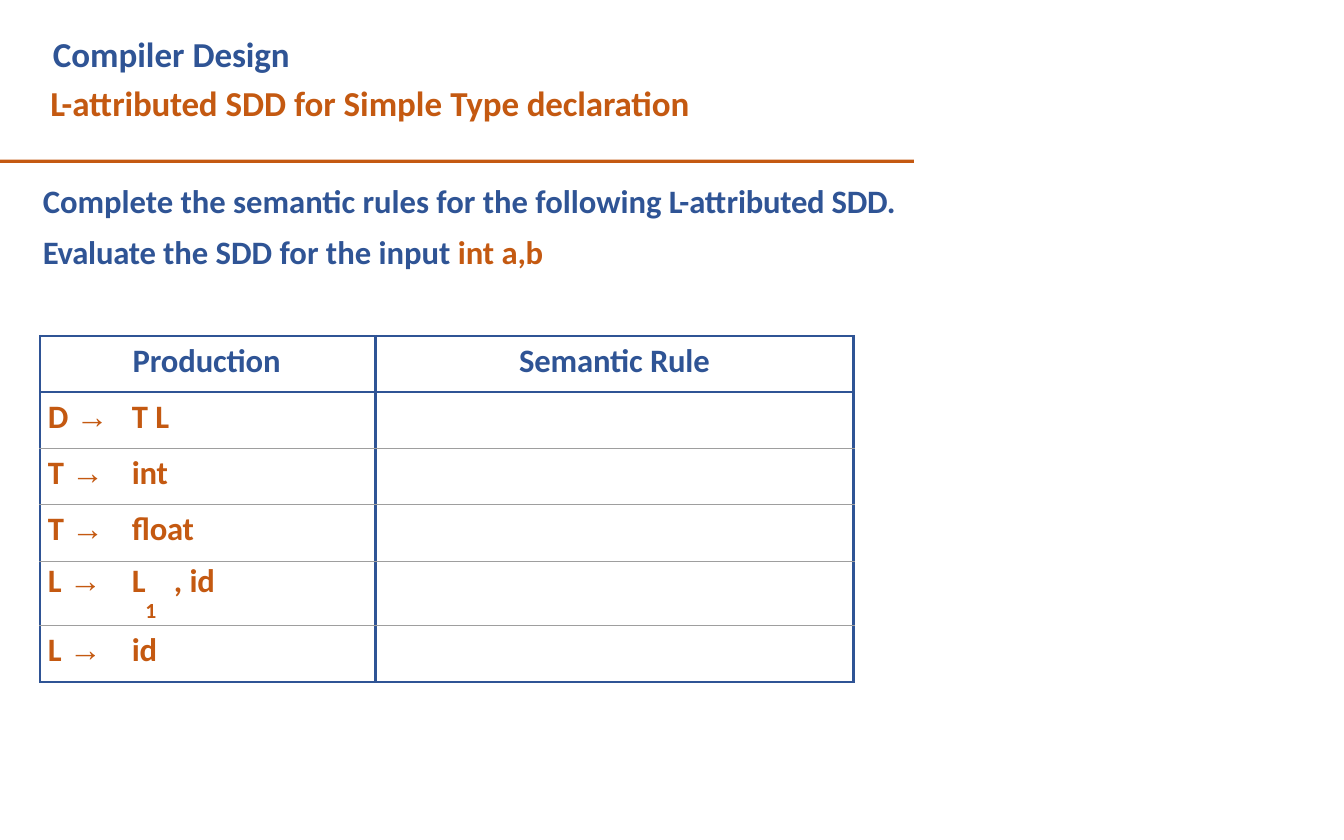
from lxml.etree import SubElement as Sub
from pptx import Presentation
from pptx.dml.color import RGBColor as RGB
from pptx.enum.shapes import MSO_SHAPE as Shape
from pptx.enum.text import PP_ALIGN as Align
from pptx.oxml.ns import qn
from pptx.util import Inches, Pt

COLORS = {"blue": "2F5495", "rust": "C45911", "gray": "9E9E9E"}


def paint(name):
    """Return the named colour."""
    return RGB.from_string(COLORS[name])


def write(para, parts, size=28, color="blue", left=0, tabs=()):
    """Add bold runs of (text, spacing, color, font) to an indented paragraph."""
    props = para._p.get_or_add_pPr()
    props.set("marL", str(Inches(left)))
    props.set("indent", "0")
    if tabs:
        stops = Sub(props, qn("a:tabLst"))
        for stop in tabs:
            Sub(stops, qn("a:tab"), pos=str(Inches(stop)), algn="l")
    for text, gap, *rest in parts:
        run = para.add_run()
        run.text = text
        font = run.font
        font.size, font.bold = Pt(size), True
        font.color.rgb = paint(rest[0] if rest else color)
        font.name = rest[1] if len(rest) > 1 else "Calibri"
        run._r.get_or_add_rPr().set("spc", str(round(gap * 100)))


def add_box(slide, box, top):
    """Add a wrapping text box with only a top inset and return its frame."""
    frame = slide.shapes.add_textbox(*map(Inches, box)).text_frame
    frame.word_wrap = True
    frame.margin_left = frame.margin_right = frame.margin_bottom = 0
    frame.margin_top = Inches(top)
    return frame


def add_head(slide, box):
    """Place the course name and the topic."""
    frame = add_box(slide, box, 0.1)
    write(frame.paragraphs[0], [("Compiler ", 0), ("Design", -0.1)], 30, left=0.04)
    topic = frame.add_paragraph()
    topic.space_before = Pt(6)
    write(topic, [("L-", -1.1), ("attributed ", -0.2), ("SDD for Simple ", 0),
                  ("Type declaration", -0.1)], 30, "rust", 0.01)


def add_rule(slide, box):
    """Draw the bar under the heading."""
    bar = slide.shapes.add_shape(Shape.RECTANGLE, *map(Inches, box))
    bar.shadow.inherit = False
    bar.fill.solid()
    bar.fill.fore_color.rgb = paint("rust")
    bar.line.fill.background()


def add_task(slide, box):
    """Place the task statement."""
    para = add_box(slide, box, 0.01).paragraphs[0]
    para.line_spacing = 1.3
    write(para, [("Complete the semantic rules for the following ", 0), ("L-", -1.1),
                 ("attributed SDD. Evaluate ", -0.2), ("the SDD for the input ", 0),
                 ("int ", 0, "rust"), ("a,b", -0.2, "rust")], left=0.01)


def frame_cell(cell, row, last):
    """Clear a cell's fill and margins and draw its borders."""
    cell.margin_left = cell.margin_right = cell.margin_bottom = 0
    cell.margin_top = Inches(0.06)
    cell.fill.background()
    props = cell._tc.get_or_add_tcPr()
    thin = {"T": row > 1, "B": 0 < row < last}
    for spot, side in enumerate("LRTB"):
        color, width = ("gray", 0.75) if thin.get(side) else ("blue", 2.25)
        line = Sub(props, qn(f"a:ln{side}"), w=str(Pt(width)))
        Sub(Sub(line, qn("a:solidFill")), qn("a:srgbClr"), val=COLORS[color])
        props.insert(spot, line)


def add_grammar(slide, box):
    """Place the table of productions and semantic rules."""
    rules = [("D ", [("T ", 0), ("L", -0.5)]), ("T ", [("int", -0.2)]),
             ("T ", [("float", -0.2)]),
             ("L ", [("L", -0.5), ("\t, ", 0), ("id", -0.3)]),
             ("L ", [("id", -0.2)])]
    last, sub = len(rules), 4
    grid = slide.shapes.add_table(last + 1, 2, *map(Inches, box)).table
    grid.first_row = grid.horz_banding = False
    for col, width in zip(grid.columns, (3.99, 5.69)):
        col.width = Inches(width)
    for num, row in enumerate(grid.rows):
        row.height = Inches(0.77 if num == sub else 0.67)
        for cell in row.cells:
            frame_cell(cell, num, last)
    left, right = (grid.cell(0, col).text_frame.paragraphs[0] for col in (0, 1))
    write(left, [("Production", -0.1)], left=1.1)
    right.alignment = Align.CENTER
    write(right, [("Semantic ", -0.1), ("Rule", -0.2)])
    for num, (head, body) in enumerate(rules, 1):
        para = grid.cell(num, 0).text_frame.paragraphs[0]
        if num == sub:
            para.line_spacing = Pt(31.8)
        write(para, [(head, 0), ("→\t", -0.5, "rust", "Arial"), *body],
              color="rust", left=0.09, tabs=(1, 1.5) if num == sub else (1,))
    cell = grid.cell(sub, 0)
    cell.margin_top = Inches(0.04)
    index = cell.text_frame.add_paragraph()
    index.line_spacing = Pt(19.6)
    write(index, [("1", -0.5)], 18.5, "rust", 1.25)


def main():
    """Build and save the slide."""
    deck = Presentation()
    deck.slide_width, deck.slide_height = Inches(16), Inches(10)
    slide = deck.slides.add_slide(deck.slide_layouts[6])
    add_head(slide, (0.59, 0.29, 11.46, 1.19))
    add_rule(slide, (0, 1.9, 10.88, 0.04))
    add_grammar(slide, (0.48, 4, 9.68, 4.12))
    add_task(slide, (0.5, 2, 10.24, 1.24))
    deck.save("out.pptx")


if __name__ == "__main__":
    main()
